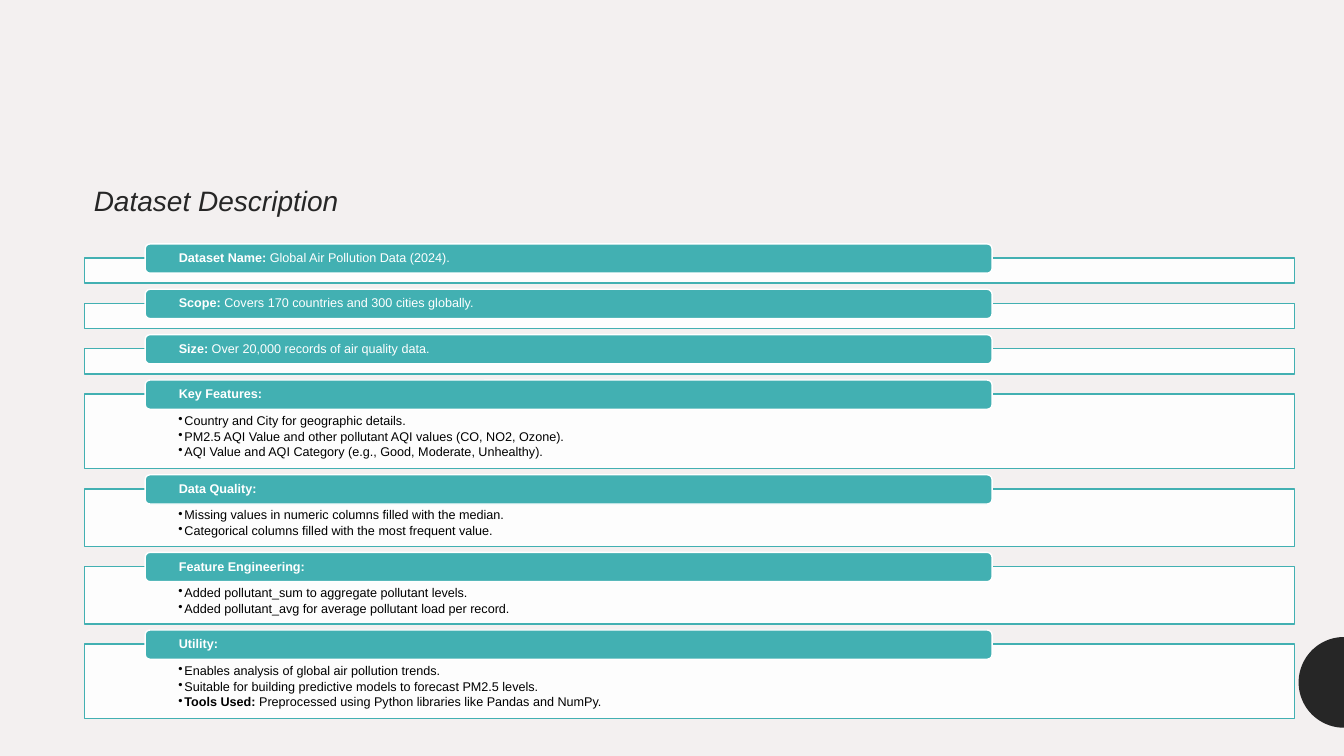
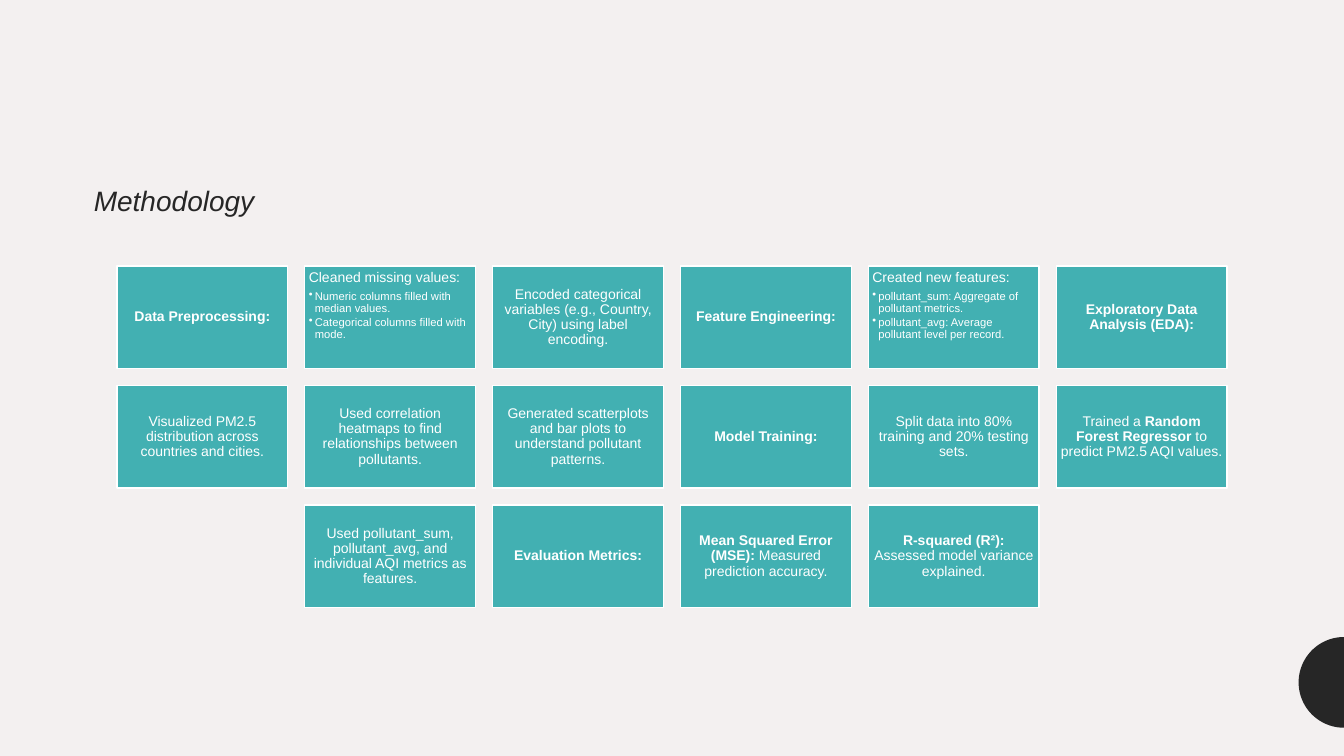
import math
from pptx import Presentation
from pptx import util as u
from pptx.dml import color
from pptx.enum import shapes, text
from pptx.oxml import ns
from lxml import etree

COLORS = {"paper": "F3F0F0", "ink": "262626", "teal": "42B0B2",
          "white": "FFFFFF", "black": "000000"}
FONT = "Arial"
SLIDE_SIZE = (13.33, 7.5)
TITLE_BOX = (0.83, 1.52, 11.67, 0.9)
SECTIONS_BOX = (0.84, 2.56, 12, 4.57)
TILES_BOX = (1.16, 2.64, 11.01, 3.39)
DISC = {"center_y": 6.77, "radius": 0.45, "steps": 48}

TITLE = {"size": 20, "color": "ink", "italic": True, "line": 1.1, "before": 4, "after": 4}
HEADER = {"size": 9, "color": "white", "line": 0.9}
DETAIL = {"size": 9, "color": "black", "line": 0.9, "after": 1.6, "bullet": True}
TILE = {"size": 10, "color": "white", "line": 0.9, "align": text.PP_ALIGN.CENTER}
TILE_LEAD = {"size": 10, "color": "white", "line": 0.9, "after": 4}
TILE_DETAIL = {"size": 8, "color": "white", "line": 0.9, "after": 1, "bullet": True}

SECTIONS = [
    ("**Dataset Name:** Global Air Pollution Data (2024).", []),
    ("**Scope:** Covers 170 countries and 300 cities globally.", []),
    ("**Size:** Over 20,000 records of air quality data.", []),
    ("**Key Features:**", [
        "Country and City for geographic details.",
        "PM2.5 AQI Value and other pollutant AQI values (CO, NO2, Ozone).",
        "AQI Value and AQI Category (e.g., Good, Moderate, Unhealthy)."]),
    ("**Data Quality:**", [
        "Missing values in numeric columns filled with the median.",
        "Categorical columns filled with the most frequent value."]),
    ("**Feature Engineering:**", [
        "Added pollutant_sum to aggregate pollutant levels.",
        "Added pollutant_avg for average pollutant load per record."]),
    ("**Utility:**", [
        "Enables analysis of global air pollution trends.",
        "Suitable for building predictive models to forecast PM2.5 levels.",
        "**Tools Used:** Preprocessed using Python libraries like Pandas and NumPy."]),
]

STEPS = [
    ("**Data Preprocessing:**", []),
    ("Cleaned missing values:", ["Numeric columns filled with median values.",
                                 "Categorical columns filled with mode."]),
    ("Encoded categorical variables (e.g., Country, City) using label encoding.", []),
    ("**Feature Engineering:**", []),
    ("Created new features:", ["pollutant_sum: Aggregate of pollutant metrics.",
                               "pollutant_avg: Average pollutant level per record."]),
    ("**Exploratory Data Analysis (EDA):**", []),
    ("Visualized PM2.5 distribution across countries and cities.", []),
    ("Used correlation heatmaps to find relationships between pollutants.", []),
    ("Generated scatterplots and bar plots to understand pollutant patterns.", []),
    ("**Model Training:**", []),
    ("Split data into 80% training and 20% testing sets.", []),
    ("Trained a **Random Forest Regressor** to predict PM2.5 AQI values.", []),
    ("Used pollutant_sum, pollutant_avg, and individual AQI metrics as features.", []),
    ("**Evaluation Metrics:**", []),
    ("**Mean Squared Error (MSE):** Measured prediction accuracy.", []),
    ("**R-squared (R²):** Assessed model variance explained.", []),
]


def rgb(name):
    return color.RGBColor.from_string(COLORS[name])


def inches(box):
    return [u.Inches(length) for length in box]


def add_bullet(paragraph):
    props = paragraph._p.get_or_add_pPr()
    props.set("marL", str(u.Inches(0.06)))
    props.set("indent", str(u.Inches(-0.06)))
    etree.SubElement(props, ns.qn("a:buChar")).set("char", "•")


def write(shape, lines, insets=(0.1, 0.05, 0.1, 0.05), anchor=text.MSO_ANCHOR.MIDDLE):
    frame = shape.text_frame
    left, top, right, bottom = inches(insets)
    frame_format = {"margin_left": left, "margin_top": top, "margin_right": right,
                    "margin_bottom": bottom, "word_wrap": True,
                    "auto_size": text.MSO_AUTO_SIZE.NONE, "vertical_anchor": anchor}
    for name, value in frame_format.items():
        setattr(frame, name, value)
    for index, (words, style) in enumerate(lines):
        paragraph = frame.add_paragraph() if index else frame.paragraphs[0]
        paragraph_format = {"alignment": style.get("align", text.PP_ALIGN.LEFT),
                            "line_spacing": style["line"],
                            "space_before": u.Pt(style.get("before", 0)),
                            "space_after": u.Pt(style.get("after", 0))}
        for name, value in paragraph_format.items():
            setattr(paragraph, name, value)
        if style.get("bullet"):
            add_bullet(paragraph)
        for part, piece in enumerate(words.split("**")):
            if not piece:
                continue
            run = paragraph.add_run()
            run.text = piece
            run_format = {"name": FONT, "size": u.Pt(style["size"]),
                          "bold": part % 2 == 1, "italic": style.get("italic", False)}
            for name, value in run_format.items():
                setattr(run.font, name, value)
            run.font.color.rgb = rgb(style["color"])


def add_block(slide, kind, box, fill, line, opacity=100):
    block = slide.shapes.add_shape(kind, *inches(box))
    block.shadow.inherit = False
    block.fill.solid()
    block.fill.fore_color.rgb = rgb(fill)
    block.line.color.rgb = rgb(line)
    block.line.width = u.Pt(1)
    if opacity < 100:
        fill_color = block._element.spPr.find(".//" + ns.qn("a:srgbClr"))
        etree.SubElement(fill_color, ns.qn("a:alpha")).set("val", str(opacity * 1000))
    return block


def add_edge_disc(slide):
    radius, steps = DISC["radius"], DISC["steps"]
    angles = [math.pi * (0.5 + step / steps) for step in range(steps + 1)]
    points = [(u.Inches(SLIDE_SIZE[0] + radius * math.cos(angle)),
               u.Inches(DISC["center_y"] - radius * math.sin(angle))) for angle in angles]
    outline = slide.shapes.build_freeform(*points[0])
    outline.add_line_segments(points[1:], close=True)
    disc = outline.convert_to_shape()
    disc.shadow.inherit = False
    disc.fill.solid()
    disc.fill.fore_color.rgb = rgb("ink")
    disc.line.fill.background()


def add_titled_slide(deck, heading):
    slide = deck.slides.add_slide(deck.slide_layouts.get_by_name("Title Only"))
    add_edge_disc(slide)
    title = slide.shapes.title
    title.left, title.top, title.width, title.height = inches(TITLE_BOX)
    write(title, [(heading, TITLE)])
    return slide


def add_sections(slide, box, sections):
    left, top, width, _ = box
    panel_heights = {0: 0.25, 2: 0.57, 3: 0.74}
    gap, overlap = 0.2, 0.14
    for header, details in sections:
        height = panel_heights[len(details)]
        panel = add_block(slide, shapes.MSO_SHAPE.RECTANGLE, (left, top, width, height),
                          "white", "teal", opacity=90)
        if details:
            write(panel, [(detail, DETAIL) for detail in details],
                  (0.93, 0.2, 0.93, 0.07), text.MSO_ANCHOR.TOP)
        banner = add_block(slide, shapes.MSO_SHAPE.ROUNDED_RECTANGLE,
                           (left + width * 0.05, top - overlap, width * 0.7, 0.29),
                           "teal", "white")
        write(banner, [(header, HEADER)], (0.32, 0, 0.32, 0))
        top += height + gap


def add_tiles(slide, box, steps, columns=6):
    left, top, width, _ = box
    tile_width = width / (columns + (columns - 1) * 0.1)
    tile_height, gap = tile_width * 0.6, tile_width * 0.1
    for index, (lead, details) in enumerate(steps):
        row, column = divmod(index, columns)
        in_row = min(columns, len(steps) - row * columns)
        column += (columns - in_row) / 2
        tile = add_block(slide, shapes.MSO_SHAPE.RECTANGLE,
                         (left + column * (tile_width + gap), top + row * (tile_height + gap),
                          tile_width, tile_height), "teal", "white")
        lines = [(lead, TILE_LEAD if details else TILE)]
        lines += [(detail, TILE_DETAIL) for detail in details]
        anchor = text.MSO_ANCHOR.TOP if details else text.MSO_ANCHOR.MIDDLE
        write(tile, lines, (0.04, 0.04, 0.04, 0.04), anchor)


def main():
    deck = Presentation()
    deck.slide_width, deck.slide_height = inches(SLIDE_SIZE)
    backdrop = deck.slide_master.background.fill
    backdrop.solid()
    backdrop.fore_color.rgb = rgb("paper")
    add_sections(add_titled_slide(deck, "Dataset Description"), SECTIONS_BOX, SECTIONS)
    add_tiles(add_titled_slide(deck, "Methodology"), TILES_BOX, STEPS)
    deck.save("out.pptx")


if __name__ == "__main__":
    main()
